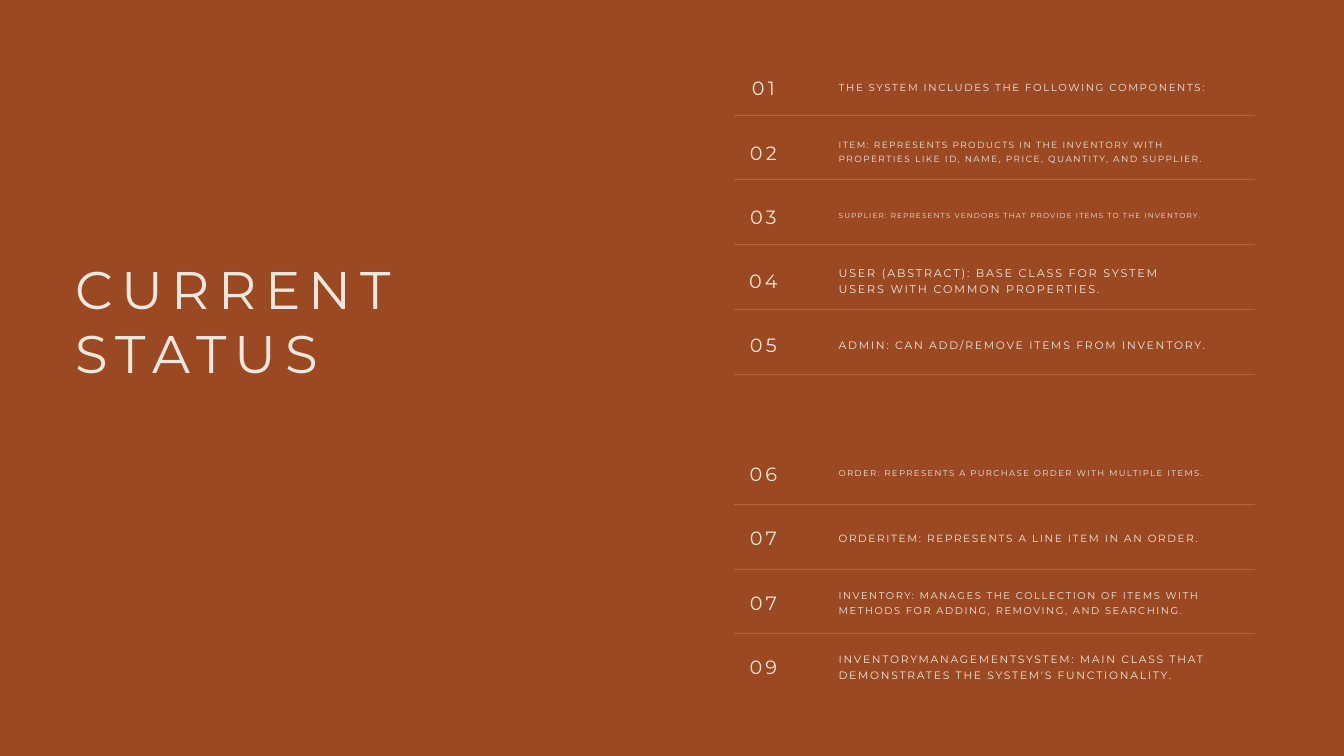
from pptx import Presentation
from pptx.dml.color import RGBColor
from pptx.enum.shapes import MSO_CONNECTOR as Connector
from pptx.enum.text import MSO_AUTO_SIZE as AutoSize, PP_ALIGN as Align
from pptx.oxml.ns import qn
from pptx.util import Inches, Pt
from lxml.etree import SubElement

TITLE = "CURRENT STATUS"

# slot on the row grid, number, text, type size, text height; slot 5 stays empty
ROWS = [
    (0, "01", "THE SYSTEM INCLUDES THE FOLLOWING COMPONENTS:", 10.9, 0.22),
    (1, "02", "ITEM: REPRESENTS PRODUCTS IN THE INVENTORY WITH PROPERTIES "
              "LIKE ID, NAME, PRICE, QUANTITY, AND SUPPLIER.", 9.6, 0.39),
    (2, "03", "SUPPLIER: REPRESENTS VENDORS THAT PROVIDE ITEMS TO THE INVENTORY.", 7.8, 0.16),
    (3, "04", "USER (ABSTRACT): BASE CLASS FOR SYSTEM USERS WITH COMMON PROPERTIES.", 12, 0.49),
    (4, "05", "ADMIN: CAN ADD/REMOVE ITEMS FROM INVENTORY.", 11.6, 0.23),
    (6, "06", "ORDER: REPRESENTS A PURCHASE ORDER WITH MULTIPLE ITEMS.", 9.1, 0.18),
    (7, "07", "ORDERITEM: REPRESENTS A LINE ITEM IN AN ORDER.", 11.2, 0.22),
    (8, "07", "INVENTORY: MANAGES THE COLLECTION OF ITEMS WITH METHODS FOR "
              "ADDING, REMOVING, AND SEARCHING.", 10.6, 0.42),
    (9, "09", "INVENTORYMANAGEMENTSYSTEM: MAIN CLASS THAT DEMONSTRATES "
              "THE SYSTEM'S FUNCTIONALITY.", 11.5, 0.45),
]

THEME = {
    "font": "Montserrat",
    "background": RGBColor.from_string("9B4922"),
    "text": RGBColor.from_string("EFE7DD"),
    "rule": RGBColor.from_string("B86239"),
    "title_size": 56.7,
    "number_size": 20.6,
    "tracking": 0.16,  # letter spacing as a share of the type size
}

ROW_CENTER, ROW_STEP = 1.28, 0.957
RULE_TOP, RULE_STEP = 1.71, 0.965
RULE_LEFT, RULE_RIGHT = 10.93, 18.68
NUMBER_HEIGHT = 0.36


def add_text(page, text, left, top, width, height, size, leading, align=Align.LEFT):
    box = page.shapes.add_textbox(Inches(left), Inches(top), Inches(width), Inches(height))
    frame = box.text_frame
    frame.margin_left = frame.margin_right = frame.margin_top = frame.margin_bottom = 0
    frame.word_wrap = True
    frame.auto_size = AutoSize.SHAPE_TO_FIT_TEXT
    frame.text = text
    para = frame.paragraphs[0]
    para.alignment = align
    para.line_spacing = Pt(size * leading)
    span = para.runs[0]
    span.font.name = THEME["font"]
    span.font.size = Pt(size)
    span.font.color.rgb = THEME["text"]
    span.font._element.set("spc", str(round(size * THEME["tracking"] * 100)))


def add_rule(page, top):
    rule = page.shapes.add_connector(
        Connector.STRAIGHT, Inches(RULE_LEFT), Inches(top), Inches(RULE_RIGHT), Inches(top))
    rule.line.color.rgb = THEME["rule"]
    rule.line.width = Pt(0.75)
    SubElement(rule._element.spPr, qn("a:effectLst"))


def main():
    deck = Presentation()
    deck.slide_width, deck.slide_height = Inches(20), Inches(11.25)
    page = deck.slides.add_slide(deck.slide_layouts[6])
    page.background.fill.solid()
    page.background.fill.fore_color.rgb = THEME["background"]

    # Rules under every row but the last
    for slot, *_ in ROWS[:-1]:
        add_rule(page, RULE_TOP + slot * RULE_STEP)

    # Numbers and descriptions, centred on their row
    for slot, number, text, size, height in ROWS:
        center = ROW_CENTER + slot * ROW_STEP
        add_text(page, number, 10.91, center + 0.01 - NUMBER_HEIGHT / 2, 0.9,
                 NUMBER_HEIGHT, THEME["number_size"], 1.3, Align.CENTER)
        add_text(page, text, 12.48, center - height / 2, 5.48, height, size, 1.5)

    # Title
    add_text(page, TITLE, 1.12, 3.82, 8.29, 1.89, THEME["title_size"], 1.2)

    deck.save("out.pptx")


if __name__ == "__main__":
    main()
